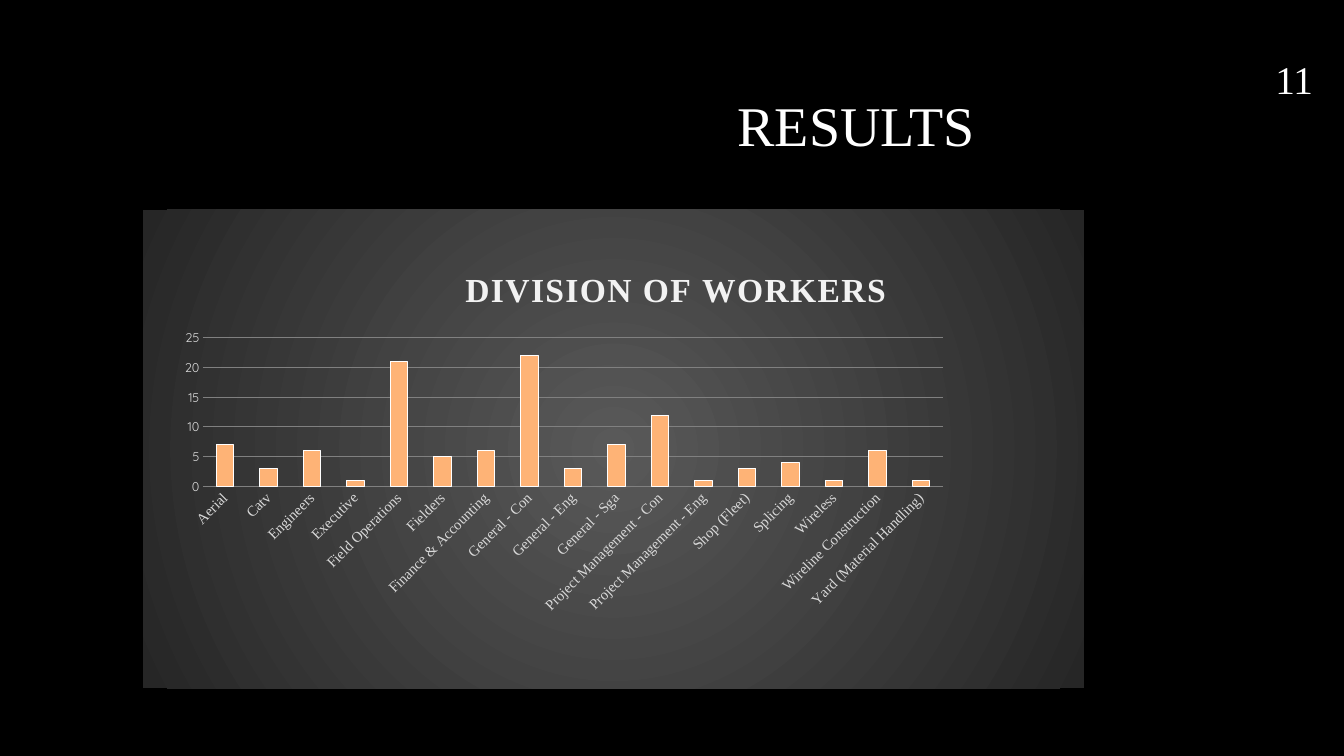
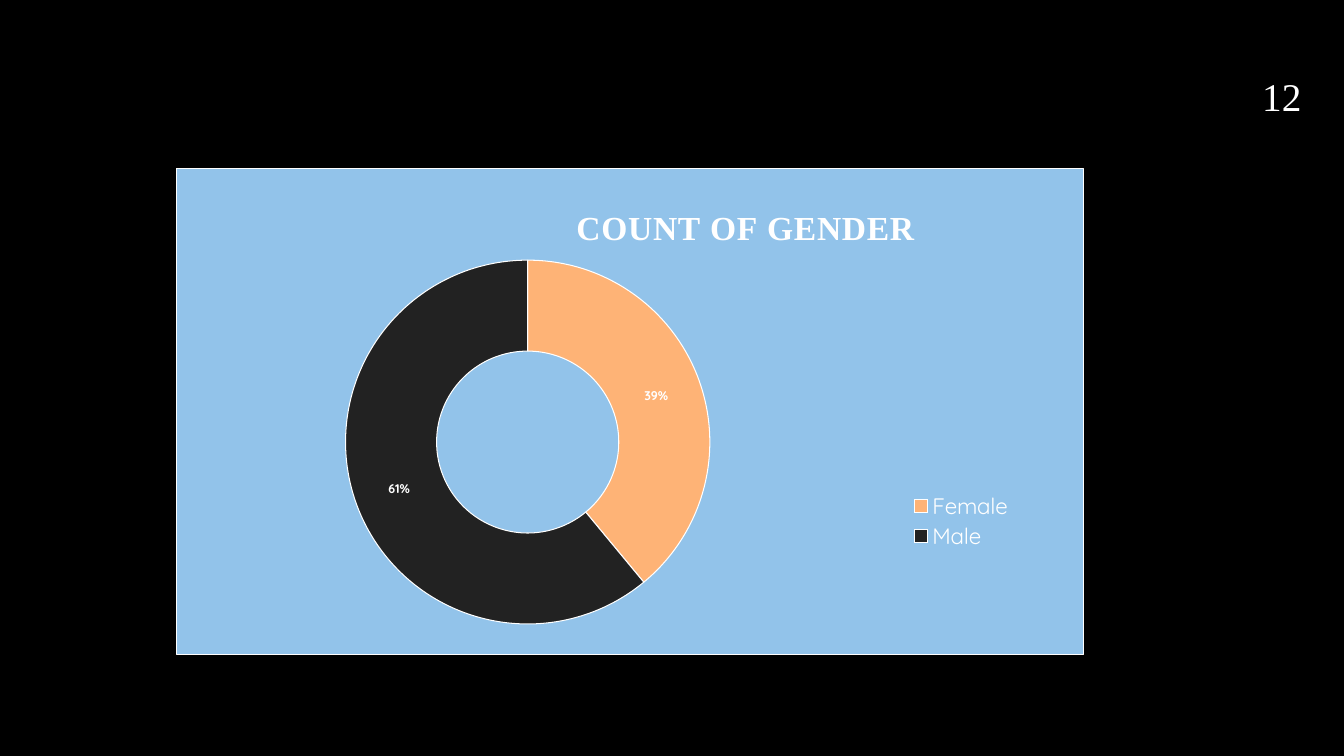
from lxml.etree import SubElement
from pptx import Presentation
from pptx.chart.data import CategoryChartData
from pptx.dml.color import RGBColor
from pptx.enum.chart import XL_CHART_TYPE, XL_LEGEND_POSITION, XL_TICK_MARK
from pptx.enum.text import MSO_ANCHOR, PP_ALIGN
from pptx.oxml import parse_xml
from pptx.oxml.ns import nsdecls, qn
from pptx.util import Inches, Pt

HEX = {
    "back": "000000",
    "white": "FFFFFF",
    "head": "F2F2F2",
    "label": "D9D9D9",
    "grid": "808080",
    "peach": "FEB376",
    "dark": "222222",
    "sky": "92C3EA",
    "inner": "595959",
    "outer": "262626",
}
SERIF = "Times New Roman"
SANS = "Quicksand"
EDGE = 0.75

STAFF = {
    "Aerial": 7,
    "Catv": 3,
    "Engineers": 6,
    "Executive": 1,
    "Field Operations": 21,
    "Fielders": 5,
    "Finance & Accounting": 6,
    "General - Con": 22,
    "General - Eng": 3,
    "General - Sga": 7,
    "Project Management - Con": 12,
    "Project Management - Eng": 1,
    "Shop (Fleet)": 3,
    "Splicing": 4,
    "Wireless": 1,
    "Wireline Construction": 6,
    "Yard (Material Handling)": 1,
}
GENDER = {"Female": 39, "Male": 61}

GLOW = (
    '<a:gradFill><a:gsLst>'
    f'<a:gs pos="0"><a:srgbClr val="{HEX["inner"]}"/></a:gs>'
    f'<a:gs pos="100000"><a:srgbClr val="{HEX["outer"]}"/></a:gs>'
    '</a:gsLst><a:path path="circle">'
    '<a:fillToRect l="50000" t="50000" r="50000" b="50000"/>'
    '</a:path></a:gradFill><a:ln><a:noFill/></a:ln>'
)
FLAT = (
    f'<a:solidFill><a:srgbClr val="{HEX["sky"]}"/></a:solidFill>'
    f'<a:ln w="{Pt(EDGE)}"><a:solidFill>'
    f'<a:srgbClr val="{HEX["white"]}"/></a:solidFill></a:ln>'
)


def rgb(name):
    return RGBColor.from_string(HEX[name])


def apply(item, form):
    for key, value in form.items():
        setattr(item, key, value)


def style(font, size, color, face=SERIF, bold=False):
    apply(font, {"size": Pt(size), "name": face, "bold": bold})
    font.color.rgb = rgb(color)


def paint(format, color):
    format.fill.solid()
    format.fill.fore_color.rgb = rgb(color)
    edge(format.line, "white")


def edge(line, color):
    line.color.rgb = rgb(color)
    line.width = Pt(EDGE)


def locate(node, spot, inner=False, **parts):
    old = node.find(qn("c:layout"))
    if old is not None:
        node.remove(old)
    layout = parse_xml(f'<c:layout {nsdecls("c")}><c:manualLayout/></c:layout>')
    rules = {"layoutTarget": "inner"} if inner else {}
    rules.update({f"{key}Mode": "edge" for key in "xy"})
    rules.update(parts)
    for key, value in rules.items():
        SubElement(layout[0], qn(f"c:{key}")).set("val", str(value))
    node.insert(spot, layout)


def add_slide(deck):
    slide = deck.slides.add_slide(deck.slide_layouts[6])
    slide.background.fill.solid()
    slide.background.fill.fore_color.rgb = rgb("back")
    return slide


def add_text(slide, box, text, size, align=PP_ALIGN.LEFT, frame=None):
    area = slide.shapes.add_textbox(*map(Inches, box)).text_frame
    apply(area, {"word_wrap": True, **(frame or {})})
    line = area.paragraphs[0]
    apply(line, {"text": text, "alignment": align})
    style(line.runs[0].font, size, "white")


def add_title(slide, box, text):
    sides = ("margin_left", "margin_right", "margin_top", "margin_bottom")
    form = {side: 0 for side in sides}
    form["vertical_anchor"] = MSO_ANCHOR.MIDDLE
    add_text(slide, box, text, 40, PP_ALIGN.RIGHT, form)


def add_graph(slide, box, kind, facts, plot, back):
    data = CategoryChartData()
    data.categories = list(facts)
    data.add_series("Series 1", list(facts.values()))
    chart = slide.shapes.add_chart(kind, *map(Inches, box), data).chart
    style(chart.font, 10, "white", SANS)
    body = chart.element.find(qn("c:chart"))
    body.addnext(parse_xml(f'<c:spPr {nsdecls("c", "a")}>{back}</c:spPr>'))
    locate(body.find(qn("c:plotArea")), 0, True, **dict(zip("xywh", plot)))
    chart.has_legend = False
    return chart


def add_head(chart, text, color, gap, x, y):
    chart.has_title = True
    title = chart.chart_title
    line = title.text_frame.paragraphs[0]
    line.text = text
    font = line.runs[0].font
    style(font, 24, color, bold=True)
    line.runs[0]._r.get_or_add_rPr().set("spc", str(gap))
    title.include_in_layout = False
    locate(chart.element.find(qn("c:chart")).find(qn("c:title")), 1, x=x, y=y)


def add_bars(slide, box):
    chart = add_graph(slide, box, XL_CHART_TYPE.COLUMN_CLUSTERED, STAFF,
                      (0.064, 0.268, 0.786, 0.31), GLOW)
    add_head(chart, "DIVISION OF WORKERS", "head", 100, 0.336, 0.11)
    plot = chart.plots[0]
    apply(plot, {"gap_width": 150, "vary_by_categories": False})
    paint(plot.series[0].format, "peach")
    across, up = chart.category_axis, chart.value_axis
    for axis, size, face in ((across, 10.5, SERIF), (up, 9, SANS)):
        apply(axis, {"major_tick_mark": XL_TICK_MARK.NONE,
                     "minor_tick_mark": XL_TICK_MARK.NONE})
        axis.format.line.fill.background()
        style(axis.tick_labels.font, size, "label", face)
    turn = across._element.find(qn("c:txPr")).find(qn("a:bodyPr"))
    turn.set("rot", "-2700000")
    apply(up, {"minimum_scale": 0, "maximum_scale": 25, "major_unit": 5,
               "has_major_gridlines": True})
    edge(up.major_gridlines.format.line, "grid")


def add_ring(slide, box):
    chart = add_graph(slide, box, XL_CHART_TYPE.DOUGHNUT, GENDER,
                      (0.186, 0.188, 0.402, 0.749), FLAT)
    add_head(chart, "COUNT OF GENDER", "white", 50, 0.434, 0.065)
    plot = chart.plots[0]
    for spot, color in enumerate(("peach", "dark")):
        paint(plot.series[0].points[spot].format, color)
    plot.has_data_labels = True
    labels = plot.data_labels
    apply(labels, {"show_percentage": True, "show_value": False,
                   "number_format": "0%", "number_format_is_linked": False})
    style(labels.font, 9, "white", SANS, True)
    chart.has_legend = True
    legend = chart.legend
    apply(legend, {"position": XL_LEGEND_POSITION.RIGHT,
                   "include_in_layout": False})
    style(legend.font, 16, "white", SANS)
    locate(chart.element.find(qn("c:chart")).find(qn("c:legend")), 1,
           x=0.8, y=0.66, w=0.13, h=0.13)


def main():
    deck = Presentation()
    apply(deck, {"slide_width": Inches(13.33), "slide_height": Inches(7.5)})
    first = add_slide(deck)
    add_title(first, (7, 0.92, 2.67, 0.62), "RESULTS")
    add_text(first, (12.55, 0.5, 0.78, 0.57), "11", 28)
    add_bars(first, (1.42, 2.08, 9.33, 4.75))
    second = add_slide(deck)
    add_ring(second, (1.75, 1.67, 9, 4.83))
    add_text(second, (12.42, 0.67, 0.91, 0.57), "12", 28)
    deck.save("out.pptx")


if __name__ == "__main__":
    main()
